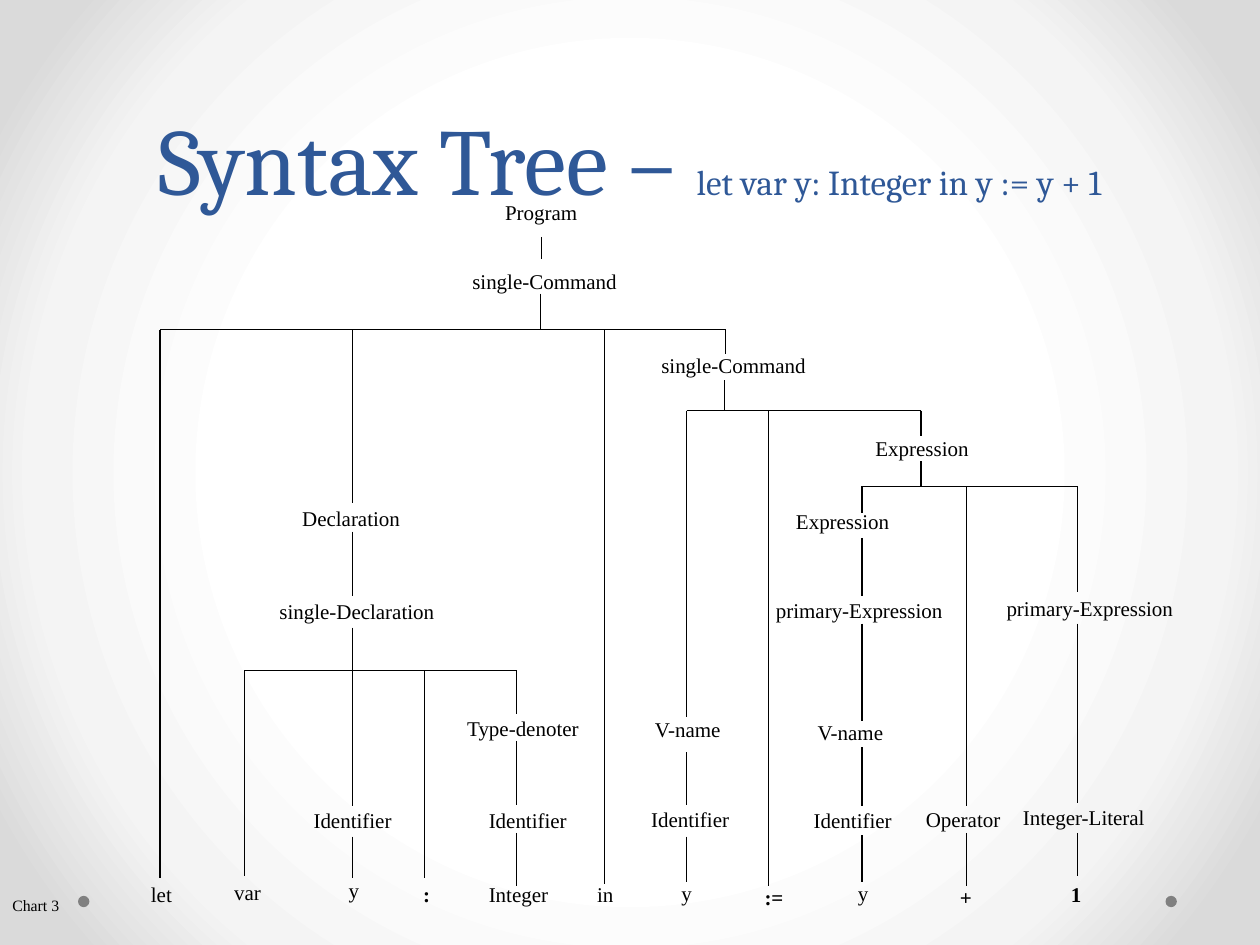
from lxml.etree import SubElement
from pptx import Presentation
from pptx.dml.color import RGBColor
from pptx.enum.shapes import MSO_CONNECTOR, MSO_SHAPE
from pptx.enum.text import MSO_ANCHOR, MSO_AUTO_SIZE, PP_ALIGN
from pptx.oxml import parse_xml
from pptx.oxml.ns import nsdecls, qn
from pptx.util import Pt


def color(value):
    return RGBColor.from_string(value)


def add_run(paragraph, text, font="Times New Roman", size=12, fill="000000", bold=False):
    run = paragraph.add_run()
    run.text = text
    run.font.name = font
    run.font.size = Pt(size)
    run.font.bold = bold
    run.font.color.rgb = color(fill)


class TreeSlide:
    line_color = "000000"
    line_width = 0.75
    dot_color = "808080"
    title_format = {"font": "Cambria", "fill": "2F5897"}

    def __init__(self, presentation):
        self.slide = presentation.slides.add_slide(presentation.slide_layouts[6])

    def background(self, stops):
        self.slide.background.fill.solid()
        properties = self.slide.background._cSld.bg.bgPr
        stop_xml = "".join(
            f'<a:gs pos="{position * 1000}"><a:srgbClr val="{value}"/></a:gs>'
            for position, value in stops
        )
        gradient = parse_xml(
            f'<a:gradFill {nsdecls("a")} rotWithShape="1"><a:gsLst>{stop_xml}</a:gsLst>'
            '<a:path path="circle"><a:fillToRect l="50000" t="50000" r="50000" b="50000"/>'
            "</a:path></a:gradFill>"
        )
        properties.replace(properties.find(qn("a:solidFill")), gradient)

    def text_box(self, left, top, width, height):
        box = self.slide.shapes.add_textbox(Pt(left), Pt(top), Pt(width), Pt(height))
        return box.text_frame

    def title(self, parts):
        frame = self.text_box(36, 0, 648, 126)
        frame.word_wrap = True
        frame.vertical_anchor = MSO_ANCHOR.BOTTOM
        paragraph = frame.paragraphs[0]
        paragraph.alignment = PP_ALIGN.CENTER
        paragraph.line_spacing = Pt(58)
        for text, size in parts:
            add_run(paragraph, text, size=size, **self.title_format)

    def label(self, text, left, top, width, height=21.6, **text_format):
        frame = self.text_box(left, top, width, height)
        frame.word_wrap = False
        frame.auto_size = MSO_AUTO_SIZE.SHAPE_TO_FIT_TEXT
        add_run(frame.paragraphs[0], text, **text_format)

    def line(self, x1, y1, x2, y2):
        connector = self.slide.shapes.add_connector(
            MSO_CONNECTOR.STRAIGHT, Pt(x1), Pt(y1), Pt(x2), Pt(y2)
        )
        connector.line.color.rgb = color(self.line_color)
        connector.line.width = Pt(self.line_width)
        SubElement(connector._element.spPr, qn("a:effectLst"))

    def dot(self, left, top, size):
        shape = self.slide.shapes.add_shape(
            MSO_SHAPE.OVAL, Pt(left), Pt(top), Pt(size), Pt(size)
        )
        shape.shadow.inherit = False
        shape.fill.solid()
        shape.fill.fore_color.rgb = color(self.dot_color)
        shape.line.fill.background()


TERMINALS = [
    ("let", 79.2, 500.4, 26.6),
    ("var", 126.7, 499, 29.5),
    ("y", 192.2, 498.2, 20.2),
    (":", 234.7, 500.4, 18.7),
    ("Integer", 272.2, 500.4, 49),
    ("in", 334.1, 500.4, 23.8),
    ("y", 382.3, 499.7, 20.2),
    (":=", 429.8, 501.8, 25.2),
    ("y", 483.1, 499.7, 20.2),
    ("+", 541.4, 501.8, 21.6),
    ("1", 604.8, 500.4, 20.2),
]
BOLD_TERMINALS = {":", ":=", "+", "1"}

NODES = [
    ("Identifier", 59, [(172.1, 457.9), (272.2, 457.9), (365, 457.2), (457.9, 457.9)]),
    ("Type-denoter", 79.2, [(259.9, 405.4)]),
    ("V-name", 53.3, [(367.2, 406.1), (460.1, 407.5)]),
    ("single-Declaration", 103.7, [(152.6, 338.4)]),
    ("primary-Expression", 110.2, [(436.3, 337.7), (568.1, 337)]),
    ("Declaration", 70.6, [(165.6, 285.1)]),
    ("Expression", 67.7, [(447.8, 287.3), (493.2, 245.5)]),
    ("Operator", 57.6, [(522, 457.2)]),
    ("Integer-Literal", 85, [(577.4, 456.5)]),
    ("single-Command", 97.2, [(370.8, 198), (262.8, 149.8)]),
    ("Program", 56.2, [(281.5, 110.2)]),
]

COMMAND_BAR, ASSIGN_BAR, SUM_BAR, DECLARATION_BAR = 188.5, 234.7, 277.9, 383

BRANCHES = [
    (91.4, 414.7, COMMAND_BAR),
    (392.4, 526.3, ASSIGN_BAR),
    (492.5, 615.6, SUM_BAR),
    (139.7, 295.2, DECLARATION_BAR),
]

STEMS = [
    (309.6, [(135.4, 148.3)]),
    (308.9, [(167.8, COMMAND_BAR)]),
    (91.4, [(COMMAND_BAR, 501.8)]),
    (201.6, [(COMMAND_BAR, 287.3), (303.8, 340.6), (358.6, DECLARATION_BAR),
             (DECLARATION_BAR, 460.8), (478.1, 501.8)]),
    (345.6, [(COMMAND_BAR, 505.4)]),
    (414.7, [(COMMAND_BAR, 202.3)]),
    (414, [(217.4, ASSIGN_BAR)]),
    (392.4, [(ASSIGN_BAR, 409.7), (429.8, 460.1), (478.1, 504)]),
    (439.2, [(ASSIGN_BAR, 506.2)]),
    (526.3, [(ASSIGN_BAR, 249.1), (263.5, SUM_BAR)]),
    (492.5, [(SUM_BAR, 293), (307.4, 340.6), (356.4, 411.8), (427, 460.8), (477.4, 504)]),
    (552.2, [(SUM_BAR, 460.8), (475.9, 506.2)]),
    (615.6, [(SUM_BAR, 338.4), (356.4, 458.6), (475.9, 500.4)]),
    (139.7, [(DECLARATION_BAR, 500.4)]),
    (242.6, [(DECLARATION_BAR, 501.8)]),
    (295.2, [(DECLARATION_BAR, 408.2), (423.4, 460.1), (475.9, 506.2)]),
]

presentation = Presentation()
presentation.slide_width = Pt(720)
presentation.slide_height = Pt(540)

tree = TreeSlide(presentation)
tree.background([(50, "FFFFFF"), (76, "F4F4F4"), (92, "DADADA")])
for dot_left in (666, 44.6):
    tree.dot(dot_left, 511.9, 6.5)
tree.label("Chart 3", 0, 508.3, 47.5, height=18, size=9)
tree.title([("Syntax Tree – ", 54), ("let var y: Integer in y := y + 1", 20)])

for text, left, top, width in TERMINALS:
    tree.label(text, left, top, width, bold=text in BOLD_TERMINALS)
for text, width, places in NODES:
    for left, top in places:
        tree.label(text, left, top, width)
for start, end, level in BRANCHES:
    tree.line(start, level, end, level)
for x, spans in STEMS:
    for top, bottom in spans:
        tree.line(x, top, x, bottom)

presentation.save("out.pptx")
